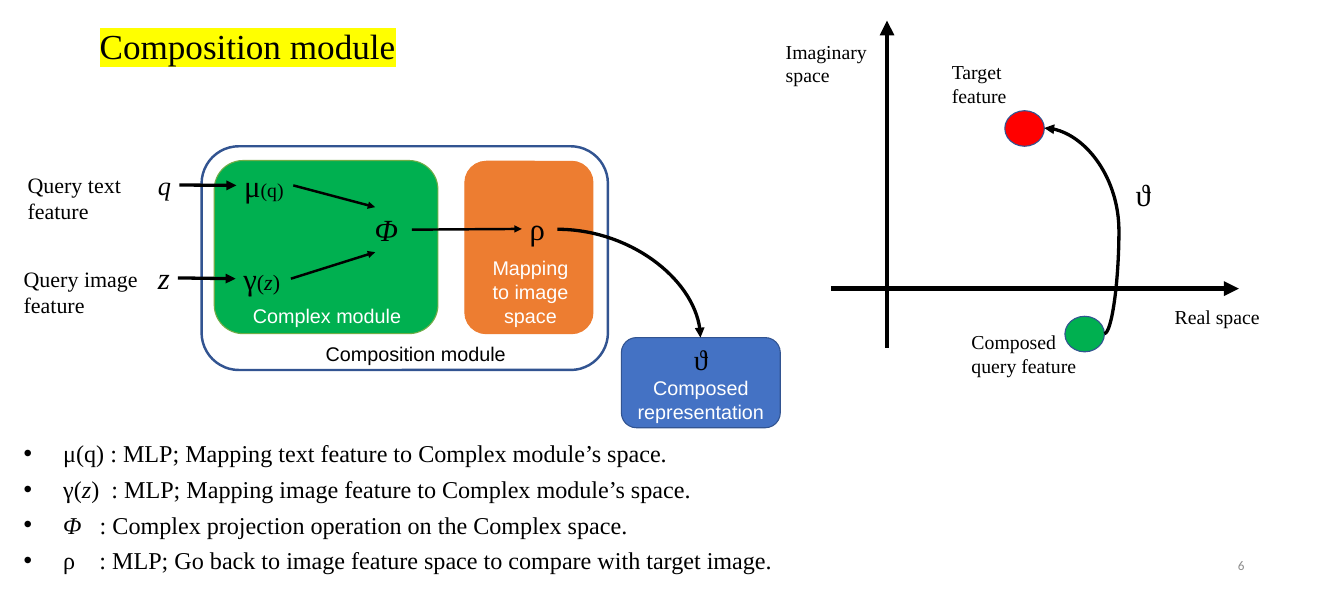
from lxml.etree import SubElement
from pptx import Presentation
from pptx.dml.color import RGBColor
from pptx.enum.shapes import MSO_CONNECTOR, MSO_SHAPE
from pptx.enum.text import MSO_ANCHOR, MSO_AUTO_SIZE, PP_ALIGN
from pptx.oxml import parse_xml
from pptx.oxml.ns import nsdecls, qn
from pptx.util import Inches, Pt

BLACK = RGBColor(0x00, 0x00, 0x00)
WHITE = RGBColor(0xFF, 0xFF, 0xFF)
GRAY = RGBColor(0x8C, 0x8C, 0x8C)
GREEN = RGBColor(0x00, 0xB0, 0x50)
LEAF = RGBColor(0x70, 0xAD, 0x47)
ORANGE = RGBColor(0xED, 0x7D, 0x31)
BLUE = RGBColor(0x44, 0x72, 0xC4)
NAVY = RGBColor(0x32, 0x54, 0x91)
RED = RGBColor(0xFF, 0x00, 0x00)
SERIF, SANS = "Times New Roman", "Arial"
TOP, LEFT, BOTTOM, RIGHT = range(4)


def put(par, text, size=18, font=SERIF, color=BLACK, italic=False, mark=None, wide=0):
    """Add text to a paragraph; mark is a highlight, wide is letter spacing in points."""
    for num, line in enumerate(text.split("\n")):
        if num:
            par.add_line_break()
        run = par.add_run()
        run.text = line
        run.font.size, run.font.name, run.font.italic = Pt(size), font, italic
        run.font.color.rgb = color
        props = run.font._element
        if mark:
            props.find(qn("a:solidFill")).addnext(parse_xml(
                f'<a:highlight {nsdecls("a")}><a:srgbClr val="{mark}"/></a:highlight>'))
        if wide:
            props.set("spc", str(int(wide * 100)))


class Sketch:
    def __init__(self, slide):
        self.slide = slide
        self.shapes = slide.shapes

    def place(self, shape, at):
        shape.left, shape.top, shape.width, shape.height = map(Inches, at)

    def text(self, at, *runs, align=PP_ALIGN.LEFT, wrap=True, anchor=MSO_ANCHOR.TOP, **style):
        """Add a text box; each run is a string or a (string, format) pair."""
        box = self.shapes.add_textbox(*map(Inches, at))
        frame = box.text_frame
        frame.word_wrap = wrap
        frame.auto_size = MSO_AUTO_SIZE.SHAPE_TO_FIT_TEXT
        frame.vertical_anchor = anchor
        par = frame.paragraphs[0]
        par.alignment = align
        self.runs(par, runs, **style)
        return box

    def runs(self, par, runs, **style):
        for run in runs:
            word, extra = (run, {}) if isinstance(run, str) else run
            put(par, word, **{**style, **extra})

    def title(self, at, word, **style):
        shape = self.shapes.title
        self.place(shape, at)
        shape.text_frame.vertical_anchor = MSO_ANCHOR.TOP
        par = shape.text_frame.paragraphs[0]
        par.alignment = PP_ALIGN.LEFT
        put(par, word, **style)

    def bullets(self, at, rows, **style):
        shape = self.slide.placeholders[1]
        self.place(shape, at)
        frame = shape.text_frame
        frame.auto_size = MSO_AUTO_SIZE.NONE
        for num, row in enumerate(rows):
            par = frame.add_paragraph() if num else frame.paragraphs[0]
            props = par._p.get_or_add_pPr()
            props.set("marL", str(Inches(0.5)))
            props.set("indent", str(Inches(-0.5)))
            SubElement(props, qn("a:buFont"), typeface="Arial")
            SubElement(props, qn("a:buChar"), char="•")
            par.space_before, par.space_after = Pt(0), Pt(6)
            self.runs(par, row, **style)

    def shape(self, kind, at, fill, line, width=1):
        shape = self.shapes.add_shape(kind, *map(Inches, at))
        shape.shadow.inherit = False
        if fill is None:
            shape.fill.background()
        else:
            shape.fill.solid()
            shape.fill.fore_color.rgb = fill
        shape.line.color.rgb = line
        shape.line.width = Pt(width)
        return shape

    def arrow(self, start, end, width=2.25, kind=MSO_CONNECTOR.STRAIGHT):
        link = self.shapes.add_connector(kind, *map(Inches, (*start, *end)))
        link.line.color.rgb = BLACK
        link.line.width = Pt(width)
        SubElement(link.line._get_or_add_ln(), qn("a:tailEnd"), type="triangle")
        SubElement(link._element.spPr, qn("a:effectLst"))
        return link

    def join(self, first, side, second, other, width=2.25):
        """Draw an arrow between the sides of two shapes."""
        link = self.arrow((0, 0), (1, 1), width)
        link.begin_connect(first, side)
        link.end_connect(second, other)

    def curve(self, start, end, preset, bend=None):
        link = self.arrow(start, end, 3, MSO_CONNECTOR.CURVE)
        geom = link._element.spPr.find(qn("a:prstGeom"))
        geom.set("prst", preset)
        if bend is not None:
            SubElement(geom.find(qn("a:avLst")), qn("a:gd"),
                       name="adj1", fmla=f"val {int(bend * 100000)}")


def flow(art):
    """Draw the module diagram on the left."""
    block = MSO_SHAPE.ROUNDED_RECTANGLE
    art.shape(block, (5.88, 2.04, 1.62, 2.18), ORANGE, ORANGE)
    art.shape(block, (2.55, 1.85, 5.14, 2.83), None, NAVY, 2.25)
    art.shape(block, (2.71, 2.03, 2.83, 2.19), GREEN, LEAF)

    phi = art.text((4.28, 2.62, 0.93, 0.57), "Φ", size=28, italic=True)
    phi.text_frame.margin_left = Inches(0.46)
    small = {"size": 20}
    gamma = art.text((2.98, 3.24, 0.7, 0.57), "γ", ("(", small),
                     ("z", {"size": 20, "italic": True}), (")", small), size=28)
    mu = art.text((2.99, 2.06, 0.72, 0.57), "μ", ("(q)", {"size": 18}), size=28)
    rho = art.text((6.6, 2.61, 0.44, 0.57), "ρ", size=28)
    z = art.text((1.9, 3.23, 0.35, 0.57), "z", size=28, italic=True, wrap=False)
    q = art.text((1.9, 2.09, 0.37, 0.5), "q", size=24, italic=True, wrap=False)

    art.join(mu, RIGHT, phi, TOP)
    art.join(gamma, RIGHT, phi, BOTTOM)
    art.join(phi, RIGHT, rho, LEFT)
    art.join(q, RIGHT, mu, LEFT, 3)
    art.join(z, RIGHT, gamma, LEFT, 3)

    art.text((3.1, 3.79, 2.1, 0.4), "Complex module", font=SANS, color=WHITE, wrap=False)
    art.text((6.03, 3.19, 1.36, 1.01), "Mapping to image space",
             font=SANS, color=WHITE, align=PP_ALIGN.CENTER)
    art.text((4.02, 4.27, 2.5, 0.4), "Composition module", font=SANS, wrap=False)
    art.text((0.2, 3.31, 1.89, 0.77), "Query image feature", size=20)
    art.text((0.25, 2.12, 1.45, 0.77), "Query text feature", size=20)

    frame = art.shape(block, (7.86, 4.27, 2.01, 1.14), BLUE, NAVY).text_frame
    frame.word_wrap = True
    frame.vertical_anchor = MSO_ANCHOR.MIDDLE
    put(frame.paragraphs[0], "ϑ", size=26)
    put(frame.add_paragraph(), "Composed representation", font=SANS, color=WHITE)
    for par in frame.paragraphs:
        par.alignment = PP_ALIGN.CENTER
    art.curve((7.05, 2.9), (8.86, 4.27), "curvedConnector2")


def plane(art):
    """Draw the complex plane on the right."""
    art.arrow((10.51, 3.65), (15.67, 3.65), 4.5)
    art.arrow((11.22, 4.4), (11.22, 0.26), 4.5)
    art.text((14.76, 3.8, 1.28, 0.4), "Real space", wrap=False)
    art.text((9.84, 0.45, 1.24, 0.71), "Imaginary\nspace", wrap=False)
    art.shape(MSO_SHAPE.OVAL, (13.47, 4, 0.5, 0.45), GREEN, NAVY)
    art.shape(MSO_SHAPE.OVAL, (12.71, 1.4, 0.5, 0.45), RED, NAVY)
    art.curve((13.97, 4.22), (13.21, 1.62), "curvedConnector3", -0.243)
    art.text((12.19, 4.12, 1.7, 0.71), "Composed query feature")
    art.text((11.94, 0.71, 0.92, 0.71), "Target\nfeature")
    art.text((13.96, 2.18, 1, 0.57), "ϑ", size=28, align=PP_ALIGN.CENTER)


def main():
    deck = Presentation()
    deck.slide_width, deck.slide_height = Inches(17), Inches(7.5)
    art = Sketch(deck.slides.add_slide(deck.slide_layouts[1]))
    art.title((1.16, 0.26, 9.53, 0.64), "Composition module", size=32, mark="FFFF00")
    flow(art)
    plane(art)
    slant = {"italic": True}
    art.bullets((0.2, 5.5, 10, 1.83), [
        ["μ(q) : MLP; Mapping text feature to Complex module’s space."],
        ["γ(", ("z", slant), ")", (" ", {"wide": 5.5}),
         ": MLP; Mapping image feature to Complex module’s space."],
        [("Φ", slant), (" ", {"wide": 11}),
         ": Complex projection operation on the Complex space."],
        ["ρ", (" ", {"wide": 16.5}),
         ": MLP; Go back to image feature space to compare with target image."],
    ], size=22)
    art.text((12.01, 6.95, 3.83, 0.4), "6", size=12, font="Calibri", color=GRAY,
             align=PP_ALIGN.RIGHT, anchor=MSO_ANCHOR.MIDDLE)
    deck.save("out.pptx")


if __name__ == "__main__":
    main()
